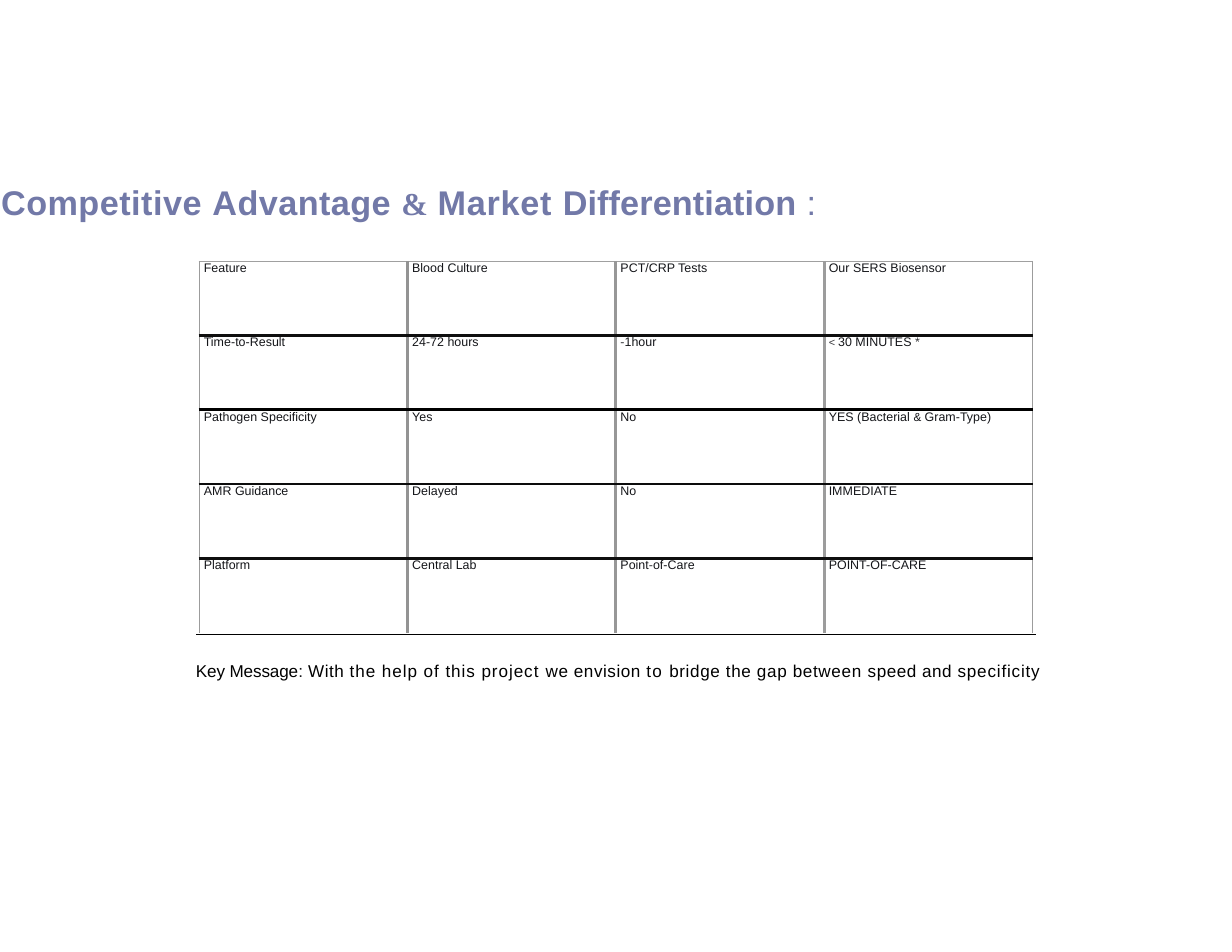
import dataclasses
from typing import NamedTuple, Optional

import pptx
import pptx.dml.color
import pptx.enum.shapes
import pptx.enum.text
import pptx.util
from lxml import etree

In = pptx.util.Inches
Pt = pptx.util.Pt
RGB = pptx.dml.color.RGBColor.from_string
NS = "http://schemas.openxmlformats.org/drawingml/2006/main"


@dataclasses.dataclass(frozen=True)
class Theme:
    font: str = "Arial"
    serif: str = "Times New Roman"
    title: str = "7279A8"
    body: str = "010101"
    cell: str = "15161A"
    soft: str = "333438"
    rule: str = "000000"
    title_size: float = 22
    body_size: float = 11
    cell_size: float = 8
    rule_width: float = 0.25


class Run(NamedTuple):
    text: str
    fmt: dict = {}


class Border(NamedTuple):
    color: str
    width: float


T = Theme()
W, H = 11, 8.5
TABLE_LEFT, TABLE_TOP, TABLE_WIDTH, TABLE_HEIGHT = 1.78, 2.33, 7.44, 3.32

TITLE = [
    Run("Competitive ", dict(spc=0.35)),
    Run("Advantage ", dict(spc=0.3)),
    Run("& ", dict(spc=0.5, size=20.5, font=T.serif)),
    Run("Market ", dict(spc=0.5)),
    Run("Differentiation ", dict(spc=0.1)),
    Run(":", dict(bold=False)),
]
MESSAGE = [
    Run("Key Message", dict(spc=-0.1)),
    Run(": ", dict(spc=0.1, color=T.cell)),
    Run("With ", dict(spc=0.3)),
    Run("the help of this project ", dict(spc=0.6)),
    Run("we envision ", dict(spc=0.35)),
    Run("to ", dict(spc=0.8)),
    Run("bridge the gap between ", dict(spc=0.4)),
    Run("speed and ", dict(spc=0.3)),
    Run("specificity", dict(spc=0.5)),
]
SOFT = dict(color=T.soft)
ROWS = [
    ["Feature", "Blood Culture", "PCT/CRP Tests", "Our SERS Biosensor"],
    ["Time-to-Result", "24-72 hours", [Run("-", SOFT), Run("1hour")],
     [Run("< ", dict(color=T.soft, size=7)), Run("30 MINUTES "), Run("*", SOFT)]],
    ["Pathogen Specificity", "Yes", "No",
     [Run("YES (Bacterial "), Run("& ", dict(size=7.5)), Run("Gram-Type)")]],
    ["AMR Guidance", "Delayed", "No", "IMMEDIATE"],
    ["Platform", "Central Lab", [Run("Point"), Run("-", SOFT), Run("of-Care")],
     "POINT-OF-CARE"],
]
COLUMN_LINES = [Border("9C9C9C", 1.2), Border("939393", 1.92), Border("979797", 2.16),
                Border("9C9C9C", 2.16), Border("9C9C9C", 1.2)]
ROW_LINES = [Border("A0A0A0", 0.25), Border("0F0F0F", 2.16), Border("000000", 1.92),
             Border("0C0C0C", 2.16), Border("0F0F0F", 2.16), None]


def add_run(p, text: str, *, size: float, color: str, font: str = T.font,
            bold: bool = False, spc: float = 0) -> None:
    r = p.add_run()
    r.text = text
    r.font.name, r.font.size, r.font.bold = font, Pt(size), bold
    r.font.color.rgb = RGB(color)
    if spc:
        r._r.get_or_add_rPr().set("spc", str(round(spc * 100)))


def fill_paragraph(p, runs: list, indent: float, **base) -> None:
    """Write runs over a base format, with a left indent in inches."""
    p._p.get_or_add_pPr().set("marL", str(In(indent)))
    for run in runs:
        add_run(p, run.text, **{**base, **run.fmt})


def add_text(s, runs: list, left: float, top: float, width: float, height: float,
             **base) -> None:
    tf = s.shapes.add_textbox(In(left), In(top), In(width), In(height)).text_frame
    tf.margin_left = tf.margin_right = tf.margin_top = tf.margin_bottom = 0
    tf.word_wrap = True
    tf.auto_size = pptx.enum.text.MSO_AUTO_SIZE.SHAPE_TO_FIT_TEXT
    fill_paragraph(tf.paragraphs[0], runs, 0.01, **base)


def set_border(cell, side: str, border: Optional[Border]) -> None:
    ln = etree.SubElement(cell._tc.get_or_add_tcPr(), f"{{{NS}}}ln{side}")
    if border is None:
        etree.SubElement(ln, f"{{{NS}}}noFill")
        return
    ln.set("w", str(Pt(border.width)))
    fill = etree.SubElement(ln, f"{{{NS}}}solidFill")
    etree.SubElement(fill, f"{{{NS}}}srgbClr").set("val", border.color)


def add_comparison(s) -> None:
    n_rows, n_cols = len(ROWS), len(ROWS[0])
    table = s.shapes.add_table(n_rows, n_cols, In(TABLE_LEFT), In(TABLE_TOP),
                               In(TABLE_WIDTH), In(TABLE_HEIGHT)).table
    table.first_row = table.horz_banding = False
    for i, row in enumerate(ROWS):
        for j, content in enumerate(row):
            cell = table.cell(i, j)
            cell.margin_left = cell.margin_right = cell.margin_top = cell.margin_bottom = 0
            for side, border in (("L", COLUMN_LINES[j]), ("R", COLUMN_LINES[j + 1]),
                                 ("T", ROW_LINES[i]), ("B", ROW_LINES[i + 1])):
                set_border(cell, side, border)
            cell.fill.background()
            runs = [Run(content)] if isinstance(content, str) else content
            fill_paragraph(cell.text_frame.paragraphs[0], runs, 0.04,
                           size=T.cell_size, color=T.cell)


def add_rule(s, left: float, right: float, y: float) -> None:
    c = s.shapes.add_connector(pptx.enum.shapes.MSO_CONNECTOR.STRAIGHT,
                               In(left), In(y), In(right), In(y))
    c.line.color.rgb = RGB(T.rule)
    c.line.width = Pt(T.rule_width)
    etree.SubElement(c._element.spPr, f"{{{NS}}}effectLst")


def main() -> None:
    prs = pptx.Presentation()
    prs.slide_width, prs.slide_height = In(W), In(H)
    s = prs.slides.add_slide(prs.slide_layouts[6])
    add_rule(s, 1.75, 9.25, H * 2 / 3)
    add_text(s, TITLE, 0, 1.62, W * 2 / 3, 0.33,
             size=T.title_size, color=T.title, bold=True)
    add_text(s, MESSAGE, 1.74, 5.9, 7.6, 0.18, size=T.body_size, color=T.body)
    add_comparison(s)
    prs.save("out.pptx")


if __name__ == "__main__":
    main()
